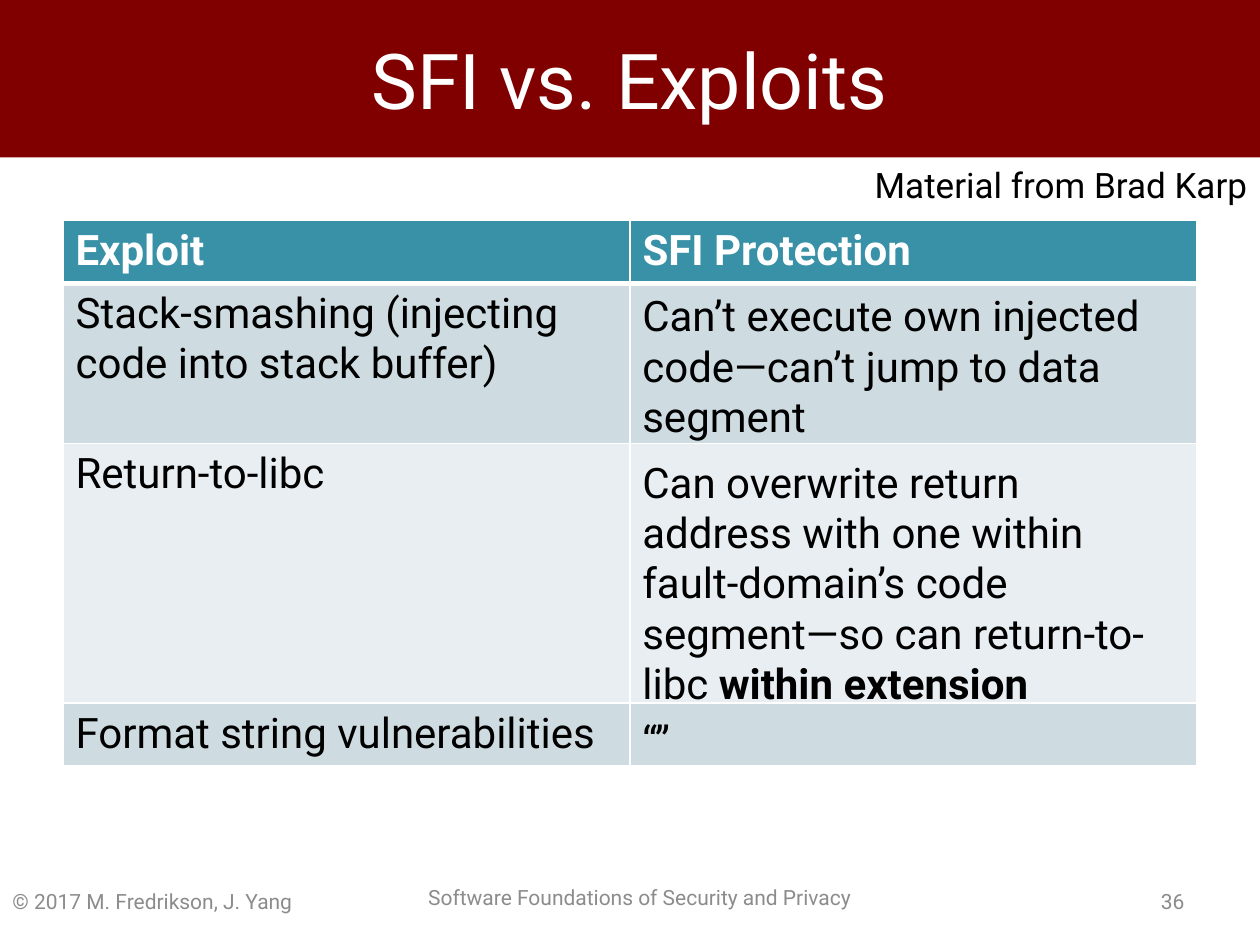
from lxml import etree
from pptx import Presentation
from pptx.dml.color import RGBColor
from pptx.enum.shapes import MSO_SHAPE
from pptx.enum.text import MSO_ANCHOR, PP_ALIGN
from pptx.oxml.ns import qn
from pptx.util import Inches, Pt

RECTANGLE = MSO_SHAPE.RECTANGLE
TOP, MIDDLE = MSO_ANCHOR.TOP, MSO_ANCHOR.MIDDLE
LEFT, CENTER, RIGHT = PP_ALIGN.LEFT, PP_ALIGN.CENTER, PP_ALIGN.RIGHT

FONT = "Roboto"
COLORS = {
    "banner": "800000",
    "header": "3891A7",
    "dark_band": "CEDCE1",
    "light_band": "E8EEF1",
    "white": "FFFFFF",
    "black": "000000",
    "footer": "8C8C8C",
}


def color(name):
    return RGBColor.from_string(COLORS[name])


class SlideBuilder:
    def __init__(self, page):
        self.page = page

    def set_text(self, frame, spans, size, ink="black", align=LEFT, bold=False):
        """Fill the first paragraph; spans is a list of (text, bold or None to inherit)."""
        para = frame.paragraphs[0]
        para.alignment = align
        para.font.name = FONT
        para.font.size = Pt(size)
        para.font.bold = bold
        para.font.color.rgb = color(ink)
        for text, span_bold in spans:
            span = para.add_run()
            span.text = text
            span.font.bold = span_bold

    def banner(self, text, left, top, width, height):
        box = self.page.shapes.add_shape(
            RECTANGLE, Inches(left), Inches(top), Inches(width), Inches(height))
        box.shadow.inherit = False
        box.fill.solid()
        box.fill.fore_color.rgb = color("banner")
        box.line.fill.background()
        box.text_frame.vertical_anchor = MIDDLE
        self.set_text(box.text_frame, [(text, None)], 44, "white", CENTER)

    def text(self, spans, left, top, width, height, size=24, ink="black",
             align=LEFT, anchor=TOP):
        box = self.page.shapes.add_textbox(
            Inches(left), Inches(top), Inches(width), Inches(height))
        box.text_frame.word_wrap = True
        box.text_frame.vertical_anchor = anchor
        self.set_text(box.text_frame, spans, size, ink, align)

    def footer(self, text, left, top, width, align=LEFT):
        self.text([(text, None)], left, top, width, 0.4, 12, "footer", align, MIDDLE)

    def cell_borders(self, cell, widths):
        """Draw white borders; widths maps the sides L, R, T, B to points."""
        properties = cell._tc.get_or_add_tcPr()
        for side, width in widths.items():
            line = etree.SubElement(properties, qn(f"a:ln{side}"), w=str(Pt(width)))
            fill = etree.SubElement(line, qn("a:solidFill"))
            etree.SubElement(fill, qn("a:srgbClr"), val=COLORS["white"])

    def table(self, rows, left, top, column_widths, row_heights):
        table = self.page.shapes.add_table(
            len(rows), len(column_widths), Inches(left), Inches(top),
            Inches(sum(column_widths)), Inches(sum(row_heights))).table
        for column, width in zip(table.columns, column_widths):
            column.width = Inches(width)
        for i, (texts, height) in enumerate(zip(rows, row_heights)):
            table.rows[i].height = Inches(height)
            header = i == 0
            band = "header" if header else ("light_band", "dark_band")[i % 2]
            widths = {"L": 1, "R": 1, "T": 3 if i == 1 else 1, "B": 3 if header else 1}
            for j, text in enumerate(texts):
                cell = table.cell(i, j)
                self.cell_borders(cell, widths)
                cell.fill.solid()
                cell.fill.fore_color.rgb = color(band)
                if text:
                    self.set_text(cell.text_frame, [(text, None)], 24,
                                  "white" if header else "black", bold=header)


def main():
    deck = Presentation()
    deck.slide_width, deck.slide_height = Inches(10), Inches(7.5)
    slide = SlideBuilder(deck.slides.add_slide(deck.slide_layouts[6]))

    slide.footer("Software Foundations of Security and Privacy", 3.3, 6.92, 3.6)
    slide.banner("SFI vs. Exploits", 0, 0, 10, 1.25)
    slide.footer("36", 7.17, 6.95, 2.33, RIGHT)
    slide.footer("© 2017 M. Fredrikson, J. Yang", 0, 6.95, 3.17)

    slide.table(
        [("Exploit", "SFI Protection"),
         ("Stack-smashing (injecting code into stack buffer)", ""),
         ("Return-to-libc", ""),
         ("Format string vulnerabilities", "")],
        0.5, 1.75, (4.5, 4.5), (0.49, 1.27, 2.06, 0.49))

    slide.text([("Can’t execute own injected code—can’t jump to data segment", None)],
               5, 2.25, 4.5, 1.31)
    slide.text([("Can overwrite return address with one within fault-domain’s code "
                 "segment—so can return-to-libc ", None), ("within extension", True)],
               5, 3.57, 4.35, 2.12)
    slide.text([("“”", None)], 5, 5.62, 0.66, 0.5)
    slide.text([("Material from Brad Karp", None)], 6.6, 1.25, 3.4, 0.44, 20, align=RIGHT)

    deck.save("out.pptx")


if __name__ == "__main__":
    main()
